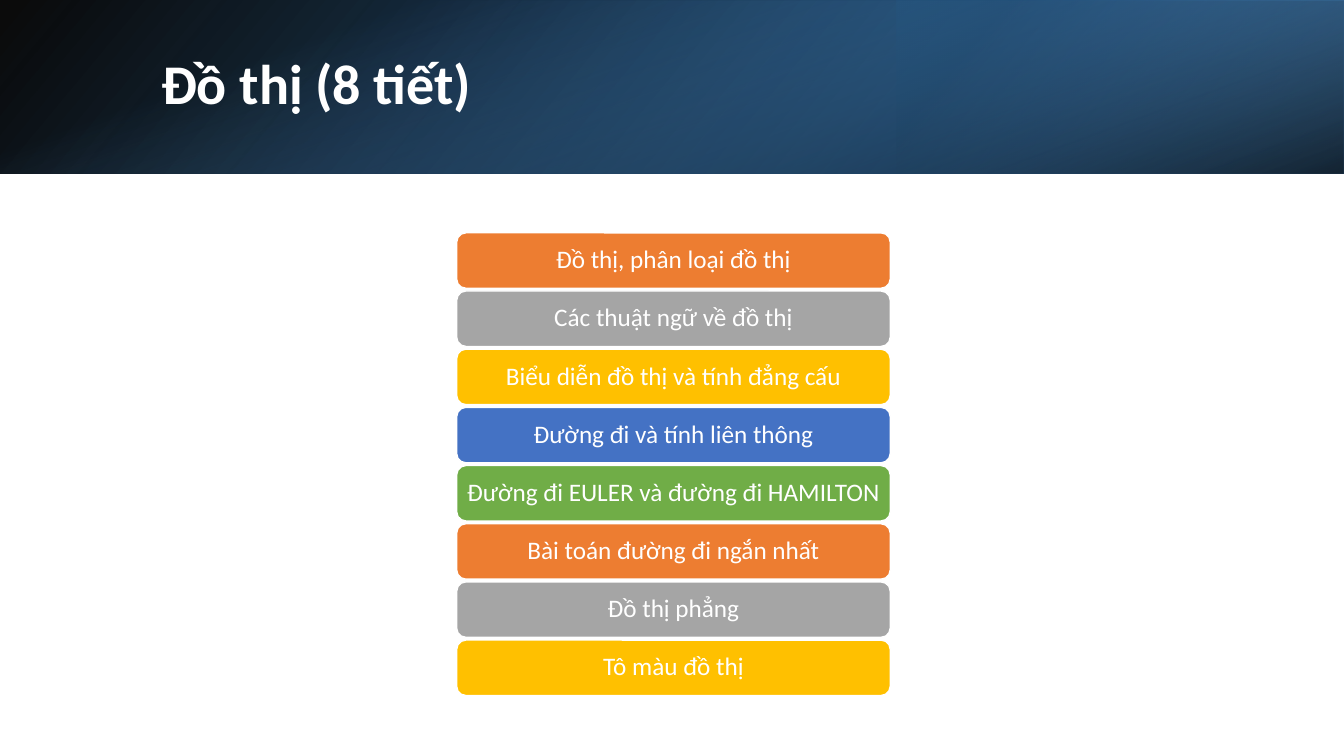
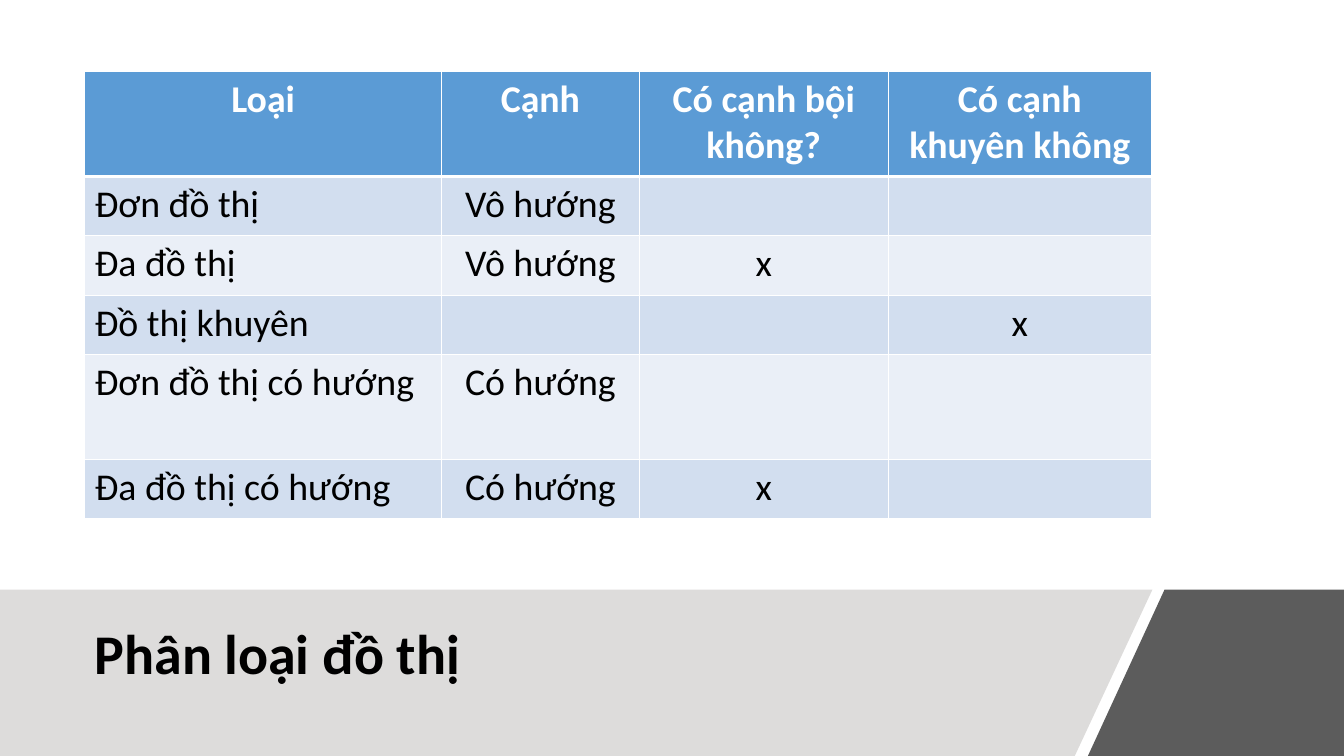
from lxml import etree
from pptx import Presentation
from pptx import util as u
from pptx.dml.color import RGBColor
from pptx.enum import shapes, text
from pptx.oxml import parse_xml
from pptx.oxml.ns import qn, nsdecls

COLORS = {
    "white": "FFFFFF", "black": "000000", "orange": "ED7D31", "gray": "A5A5A5",
    "gold": "FFC000", "blue": "4472C4", "green": "70AD47", "sky": "5B9BD5",
    "ocean": "2E75B6", "navy": "1F4E79", "row_dark": "D2DEEF",
    "row_light": "EAEFF7", "band": "DDDCDB", "corner": "404040",
}
TITLE = {"size": 40, "bold": True}
TOPIC = {"size": 18, "bold": False}
CELL = {"size": 27, "bold": False}
HEADER = {"size": 27, "bold": True}


def write(frame, words, style, color, align=text.PP_ALIGN.LEFT, spacing=None):
    frame.word_wrap = True
    para = frame.paragraphs[0]
    para.alignment = align
    para.line_spacing = spacing
    span = para.add_run()
    span.text = words
    font = {"name": "Calibri", "size": u.Pt(style["size"]), "bold": style["bold"]}
    for name, value in font.items():
        setattr(span.font, name, value)
    span.font.color.rgb = RGBColor.from_string(COLORS[color])


def add_title(page, words, color, place, anchor):
    box = page.shapes.add_textbox(*[u.Inches(n) for n in place])
    box.text_frame.vertical_anchor = anchor
    write(box.text_frame, words, TITLE, color, spacing=0.9)


deck = Presentation()
deck.slide_width, deck.slide_height = u.Inches(13.33), u.Inches(7.5)
blank = deck.slide_layouts[6]

page = deck.slides.add_slide(blank)
header_layers = [
    ((0, 0, 13.33, 1.72), 0, True, 140, [(0, "black", 96), (100, "ocean", 100)]),
    ((8.89, 0, 4.44, 1.72), 180, True, 320, [(19, "navy", 68), (100, "sky", 79)]),
    ((5.8, -5.8, 1.72, 13.33), 90, False, 340, [(23, "sky", 0), (99, "black", 74)]),
]
for place, rotation, flipped, angle, stops in header_layers:
    layer = page.shapes.add_shape(
        shapes.MSO_SHAPE.RECTANGLE, *[u.Inches(n) for n in place])
    layer.shadow.inherit = False
    layer.rotation = rotation
    properties = layer.element.spPr
    if flipped:
        properties.find(qn("a:xfrm")).set("flipH", "1")
    stop_xml = "".join(
        f'<a:gs pos="{position * 1000}"><a:srgbClr val="{COLORS[color]}">'
        f'<a:alpha val="{alpha * 1000}"/></a:srgbClr></a:gs>'
        for position, color, alpha in stops)
    properties.find(qn("a:prstGeom")).addnext(parse_xml(
        f'<a:gradFill {nsdecls("a")} rotWithShape="1"><a:gsLst>{stop_xml}</a:gsLst>'
        f'<a:lin ang="{angle * 60000}" scaled="0"/></a:gradFill>'))
    layer.line.fill.background()

add_title(page, "Đồ thị (8 tiết)", "white", (1.5, 0.38, 10.98, 0.96),
          text.MSO_ANCHOR.MIDDLE)

topics = [
    "Đồ thị, phân loại đồ thị",
    "Các thuật ngữ về đồ thị",
    "Biểu diễn đồ thị và tính đẳng cấu",
    "Đường đi và tính liên thông",
    "Đường đi EULER và đường đi HAMILTON",
    "Bài toán đường đi ngắn nhất",
    "Đồ thị phẳng",
    "Tô màu đồ thị",
]
topic_colors = ["orange", "gray", "gold", "blue", "green"]
first_top, last_top = 2.31, 6.35
pitch = (last_top - first_top) / (len(topics) - 1)
topic_frame = {
    "margin_left": u.Inches(0.07), "margin_right": u.Inches(0.07),
    "margin_top": u.Inches(0.04), "margin_bottom": u.Inches(0.04),
    "vertical_anchor": text.MSO_ANCHOR.MIDDLE,
}
for index, topic in enumerate(topics):
    box = page.shapes.add_shape(
        shapes.MSO_SHAPE.ROUNDED_RECTANGLE, u.Inches(4.53),
        u.Inches(first_top + index * pitch), u.Inches(4.3), u.Inches(0.55))
    box.shadow.inherit = False
    box.fill.solid()
    color = topic_colors[index % len(topic_colors)]
    box.fill.fore_color.rgb = RGBColor.from_string(COLORS[color])
    box.line.color.rgb = RGBColor.from_string(COLORS["white"])
    box.line.width = u.Pt(1)
    for name, value in topic_frame.items():
        setattr(box.text_frame, name, value)
    write(box.text_frame, topic, TOPIC, "white", text.PP_ALIGN.CENTER, 0.9)

page = deck.slides.add_slide(blank)
footer_parts = [
    ("band", 100, [(0, 5.85), (11.43, 5.85), (10.66, 7.5), (0, 7.5)]),
    ("corner", 85, [(11.55, 5.85), (13.33, 5.85), (13.33, 7.5), (10.79, 7.5)]),
]
for color, alpha, corners in footer_parts:
    points = [(u.Inches(x), u.Inches(y)) for x, y in corners]
    outline = page.shapes.build_freeform(*points[0])
    outline.add_line_segments(points[1:])
    part = outline.convert_to_shape()
    part.shadow.inherit = False
    part.fill.solid()
    part.fill.fore_color.rgb = RGBColor.from_string(COLORS[color])
    part.line.fill.background()
    if alpha < 100:
        tint = part.element.spPr.find(qn("a:solidFill")).find(qn("a:srgbClr"))
        etree.SubElement(tint, qn("a:alpha")).set("val", str(alpha * 1000))

add_title(page, "Phân loại đồ thị", "black", (0.84, 5.95, 9.95, 0.91),
          text.MSO_ANCHOR.BOTTOM)

rows = [
    ["Loại", "Cạnh", "Có cạnh bội không?", "Có cạnh khuyên không"],
    ["Đơn đồ thị", "Vô hướng", "", ""],
    ["Đa đồ thị", "Vô hướng", "x", ""],
    ["Đồ thị khuyên", "", "", "x"],
    ["Đơn đồ thị có hướng", "Có hướng", "", ""],
    ["Đa đồ thị có hướng", "Có hướng", "x", ""],
]
widths = [3.54, 1.96, 2.47, 2.61]
heights = [1.04, 0.59, 0.59, 0.59, 1.04, 0.59]
table = page.shapes.add_table(
    len(rows), len(widths), u.Inches(0.84), u.Inches(0.71),
    u.Inches(sum(widths)), u.Inches(sum(heights))).table
for column, width in zip(table.columns, widths):
    column.width = u.Inches(width)
for row, height in zip(table.rows, heights):
    row.height = u.Inches(height)

for r, row in enumerate(rows):
    for c, words in enumerate(row):
        cell = table.cell(r, c)
        borders = {"L": 1, "R": 1, "T": 3 if r == 1 else 1, "B": 3 if r == 0 else 1}
        for side, points in borders.items():
            cell._tc.get_or_add_tcPr().append(parse_xml(
                f'<a:ln{side} {nsdecls("a")} w="{u.Pt(points)}"><a:solidFill>'
                f'<a:srgbClr val="{COLORS["white"]}"/></a:solidFill></a:ln{side}>'))
        fill = "sky" if r == 0 else "row_dark" if r % 2 else "row_light"
        cell.fill.solid()
        cell.fill.fore_color.rgb = RGBColor.from_string(COLORS[fill])
        if words:
            centered = r == 0 or c > 0
            write(cell.text_frame, words, HEADER if r == 0 else CELL,
                  "white" if r == 0 else "black",
                  text.PP_ALIGN.CENTER if centered else text.PP_ALIGN.LEFT)

deck.save("out.pptx")
